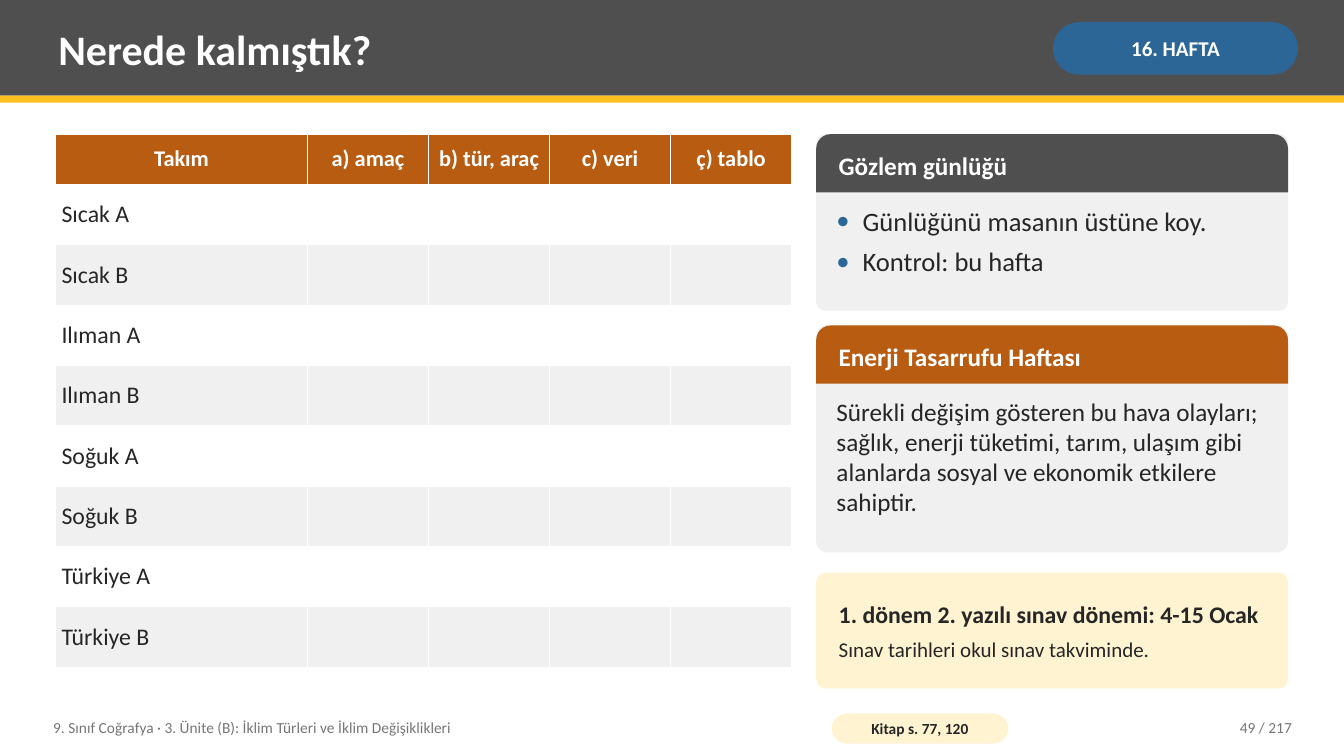
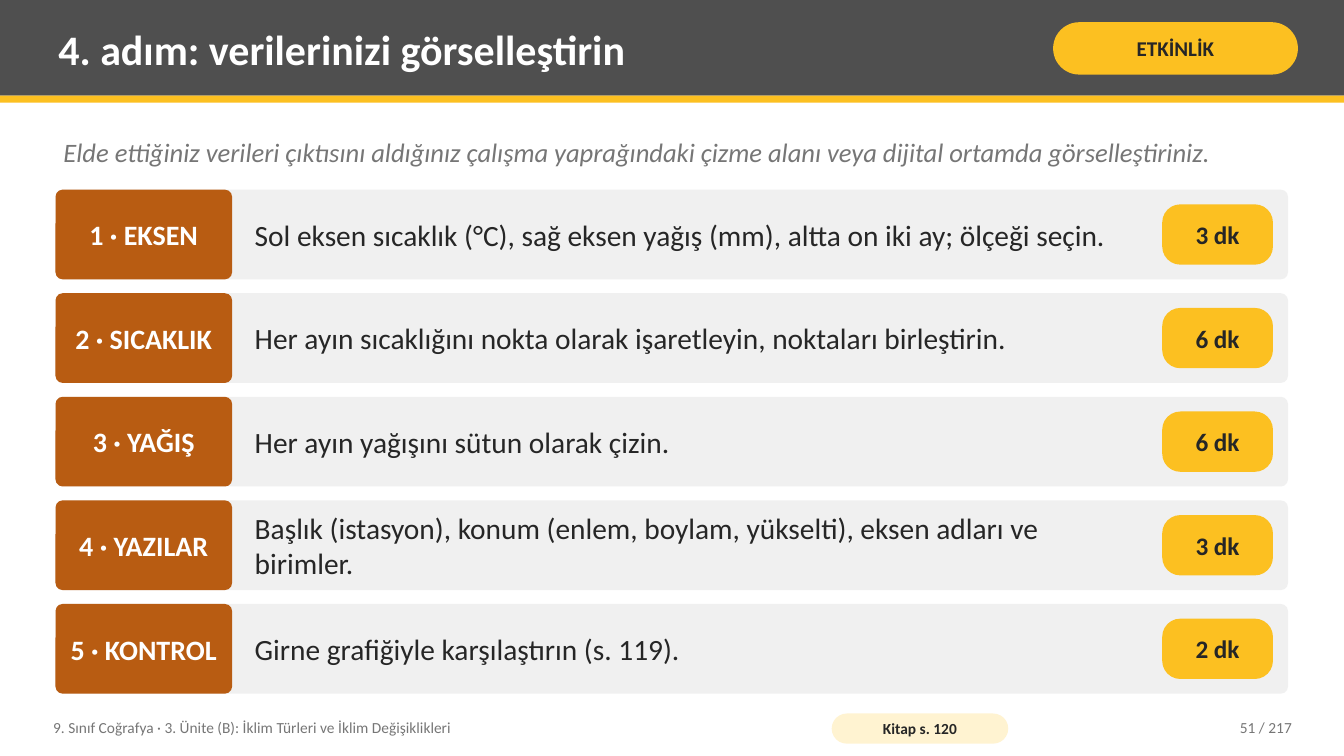
"""Builds two geography lesson slides: a team checklist and a timed activity."""
import pptx
import pptx.dml.color
import pptx.enum.shapes
import pptx.enum.text
import pptx.oxml
import pptx.oxml.ns
import pptx.util

Cm = pptx.util.Cm
RGBColor = pptx.dml.color.RGBColor
ALIGN = pptx.enum.text.PP_ALIGN
ANCHOR = pptx.enum.text.MSO_ANCHOR
SHAPE = pptx.enum.shapes.MSO_SHAPE

GREY = RGBColor(0x4F, 0x4F, 0x4F)
YELLOW = RGBColor(0xFC, 0xC0, 0x21)
BLUE = RGBColor(0x2C, 0x66, 0x96)
ORANGE = RGBColor(0xB8, 0x5C, 0x12)
LIGHT = RGBColor(0xF0, 0xF0, 0xF0)
CREAM = RGBColor(0xFF, 0xF3, 0xD1)
INK = RGBColor(0x26, 0x26, 0x26)
MUTED = RGBColor(0x76, 0x76, 0x76)
WHITE = RGBColor(0xFF, 0xFF, 0xFF)
FONT = "Calibri"


def add_panel(slide, box, fill, radii=(), kind=SHAPE.ROUNDED_RECTANGLE):
    """Add a filled shape without outline and return it."""
    panel = slide.shapes.add_shape(kind, *map(Cm, box))
    panel.shadow.inherit = False
    panel.fill.solid()
    panel.fill.fore_color.rgb = fill
    panel.line.fill.background()
    for index, radius in enumerate(radii):
        panel.adjustments[index] = radius
    return panel


def write(frame, lines, align=ALIGN.LEFT, anchor=ANCHOR.MIDDLE, margins=(0.2, 0.1), gap=0, italic=False):
    """Fill a text frame with (text, size, colour, bold) lines."""
    frame.word_wrap = True
    frame.auto_size = pptx.enum.text.MSO_AUTO_SIZE.NONE
    frame.vertical_anchor = anchor
    frame.margin_left = frame.margin_right = Cm(margins[0])
    frame.margin_top = frame.margin_bottom = Cm(margins[1])
    for index, (text, size, color, bold) in enumerate(lines):
        paragraph = frame.add_paragraph() if index else frame.paragraphs[0]
        paragraph.alignment = align
        paragraph.space_before = pptx.util.Pt(0)
        paragraph.space_after = pptx.util.Pt(gap if index < len(lines) - 1 else 0)
        run = paragraph.add_run()
        run.text = text
        run.font.name = FONT
        run.font.size = pptx.util.Pt(size)
        run.font.color.rgb = color
        run.font.bold = bold
        run.font.italic = italic


deck = pptx.Presentation()
deck.slide_width, deck.slide_height = Cm(33.87), Cm(19.05)

layout = deck.slide_layouts[1]
for placeholder in list(layout.placeholders):
    if placeholder.placeholder_format.idx > 1:
        layout.shapes.element.remove(placeholder.element)

review = deck.slides.add_slide(layout)
activity = deck.slides.add_slide(layout)

header_band = add_panel(review, (0, 0, 33.87, 2.41), GREY, kind=SHAPE.RECTANGLE)
header_rule = add_panel(review, (0, 2.41, 33.87, 0.18), YELLOW, kind=SHAPE.RECTANGLE)
unit_footer = review.shapes.add_textbox(Cm(1.14), Cm(17.88), Cm(19.3), Cm(0.91))
write(unit_footer.text_frame,
      [("9. Sınıf Coğrafya · 3. Ünite (B): İklim Türleri ve İklim Değişiklikleri", 11, MUTED, False)])
for position, shared in enumerate((header_band, header_rule, unit_footer), start=2):
    layout.shapes.element.insert(position, shared.element)

for slide, heading, badge, badge_fill, badge_color, book_pages, page in (
    (review, "Nerede kalmıştık?", "16. HAFTA", BLUE, WHITE, "Kitap s. 77, 120", "49 / 217"),
    (activity, "4. adım: verilerinizi görselleştirin", "ETKİNLİK", YELLOW, INK, "Kitap s. 120", "51 / 217"),
):
    title = slide.shapes.title
    title.left, title.top, title.width, title.height = map(Cm, (1.27, 0.18, 24.77, 2.08))
    write(title.text_frame, [(heading, 30, WHITE, True)])
    badge_pill = add_panel(slide, (26.54, 0.56, 6.17, 1.32), badge_fill, (0.5,))
    write(badge_pill.text_frame, [(badge, 15, badge_color, True)], ALIGN.CENTER, margins=(0.13, 0.05))
    book_pill = add_panel(slide, (20.96, 17.98, 4.45, 0.76), CREAM, (0.5,))
    write(book_pill.text_frame, [(book_pages, 11, INK, True)], ALIGN.CENTER, margins=(0.1, 0))
    page_number = slide.shapes.add_textbox(Cm(28.7), Cm(17.88), Cm(4.06), Cm(0.91))
    write(page_number.text_frame, [(page, 11, MUTED, False)], ALIGN.RIGHT)

criteria = ["Takım", "a) amaç", "b) tür, araç", "c) veri", "ç) tablo"]
teams = [f"{climate} {group}" for climate in ("Sıcak", "Ilıman", "Soğuk", "Türkiye") for group in "AB"]
checklist = review.shapes.add_table(
    len(teams) + 1, len(criteria), Cm(1.4), Cm(3.38), Cm(18.55), Cm(13.46)).table
checklist.first_row = checklist.horz_banding = False
for index, column in enumerate(checklist.columns):
    column.width = Cm(3.05 if index else 6.35)
for index, row in enumerate(checklist.rows):
    row.height = Cm(1.52 if index else 1.27)
    for cell in row.cells:
        cell.fill.solid()
        cell.fill.fore_color.rgb = (LIGHT if index % 2 == 0 else WHITE) if index else ORANGE
entries = [(0, index, name, 16, WHITE, True, ALIGN.CENTER) for index, name in enumerate(criteria)]
entries += [(index, 0, name, 17, INK, False, ALIGN.LEFT) for index, name in enumerate(teams, start=1)]
for row_index, column_index, name, size, color, bold, align in entries:
    cell = checklist.cell(row_index, column_index)
    cell.vertical_anchor = ANCHOR.MIDDLE
    cell.margin_left = cell.margin_right = Cm(0.15)
    cell.margin_top = cell.margin_bottom = Cm(0.13)
    paragraph = cell.text_frame.paragraphs[0]
    paragraph.alignment = align
    run = paragraph.add_run()
    run.text = name
    run.font.name = FONT
    run.font.size = pptx.util.Pt(size)
    run.font.color.rgb = color
    run.font.bold = bold

for top, height, card_title, accent in (
    (3.38, 4.45, "Gözlem günlüğü", GREY),
    (8.2, 5.72, "Enerji Tasarrufu Haftası", ORANGE),
):
    add_panel(review, (20.57, top, 11.89, height), LIGHT, (0.05,))
    card_header = add_panel(
        review, (20.57, top, 11.89, 1.47), accent, (0.25, 0), SHAPE.ROUND_2_SAME_RECTANGLE)
    write(card_header.text_frame, [(card_title, 18, WHITE, True)], margins=(0.46, 0.1))

journal = review.placeholders[1]
journal.left, journal.top, journal.width, journal.height = map(Cm, (20.88, 5.06, 11.28, 2.57))
write(journal.text_frame,
      [(task, 19, INK, False) for task in ("Günlüğünü masanın üstüne koy.", "Kontrol: bu hafta")],
      anchor=ANCHOR.TOP, gap=6)
namespace = pptx.oxml.ns.nsdecls("a")
for paragraph in journal.text_frame.paragraphs:
    properties = paragraph._p.get_or_add_pPr()
    properties.set("marL", str(Cm(0.66)))
    properties.set("indent", str(Cm(-0.66)))
    for bullet in (f'<a:buClr {namespace}><a:srgbClr val="{BLUE}"/></a:buClr>',
                   f'<a:buFont {namespace} typeface="{FONT}"/>',
                   f'<a:buChar {namespace} char="•"/>'):
        properties.append(pptx.oxml.parse_xml(bullet))
review.shapes.element.append(journal.element)

energy = review.shapes.add_textbox(Cm(20.88), Cm(9.88), Cm(11.28), Cm(3.84))
write(energy.text_frame,
      [("Sürekli değişim gösteren bu hava olayları; sağlık, enerji tüketimi, tarım, ulaşım gibi "
        "alanlarda sosyal ve ekonomik etkilere sahiptir.", 18, INK, False)], anchor=ANCHOR.TOP)

exam = add_panel(review, (20.57, 14.43, 11.89, 2.92), CREAM, (0.08,))
write(exam.text_frame,
      [("1. dönem 2. yazılı sınav dönemi: 4-15 Ocak", 17, INK, True),
       ("Sınav tarihleri okul sınav takviminde.", 15, INK, False)], margins=(0.5, 0.2), gap=6)

intro = activity.placeholders[1]
intro.left, intro.top, intro.width, intro.height = map(Cm, (1.4, 3.25, 31.06, 1.14))
write(intro.text_frame,
      [("Elde ettiğiniz verileri çıktısını aldığınız çalışma yaprağındaki çizme alanı veya dijital "
        "ortamda görselleştiriniz.", 19, MUTED, False)], italic=True)
properties = intro.text_frame.paragraphs[0]._p.get_or_add_pPr()
properties.set("marL", "0")
properties.set("indent", "0")
properties.append(pptx.oxml.parse_xml(f"<a:buNone {namespace}/>"))

steps = [
    ("EKSEN", "Sol eksen sıcaklık (°C), sağ eksen yağış (mm), altta on iki ay; ölçeği seçin.", 3),
    ("SICAKLIK", "Her ayın sıcaklığını nokta olarak işaretleyin, noktaları birleştirin.", 6),
    ("YAĞIŞ", "Her ayın yağışını sütun olarak çizin.", 6),
    ("YAZILAR", "Başlık (istasyon), konum (enlem, boylam, yükselti), eksen adları ve birimler.", 3),
    ("KONTROL", "Girne grafiğiyle karşılaştırın (s. 119).", 2),
]
for index, (step, instruction, minutes) in enumerate(steps):
    top = 4.78 + index * 2.61
    add_panel(activity, (1.4, top, 31.06, 2.26), LIGHT, (0.08,))
    step_label = add_panel(activity, (1.4, top, 4.45, 2.26), ORANGE, (0.08,))
    write(step_label.text_frame, [(f"{index + 1} · {step}", 20, WHITE, True)], ALIGN.CENTER, margins=(0.15, 0.2))
    task = activity.shapes.add_textbox(Cm(6.22), Cm(top), Cm(22.56), Cm(2.26))
    write(task.text_frame, [(instruction, 21, INK, False)])
    duration = add_panel(activity, (29.29, top + 0.37, 2.79, 1.52), YELLOW, (0.3,))
    write(duration.text_frame, [(f"{minutes} dk", 18, INK, True)], ALIGN.CENTER, margins=(0.08, 0))

deck.save("out.pptx")
